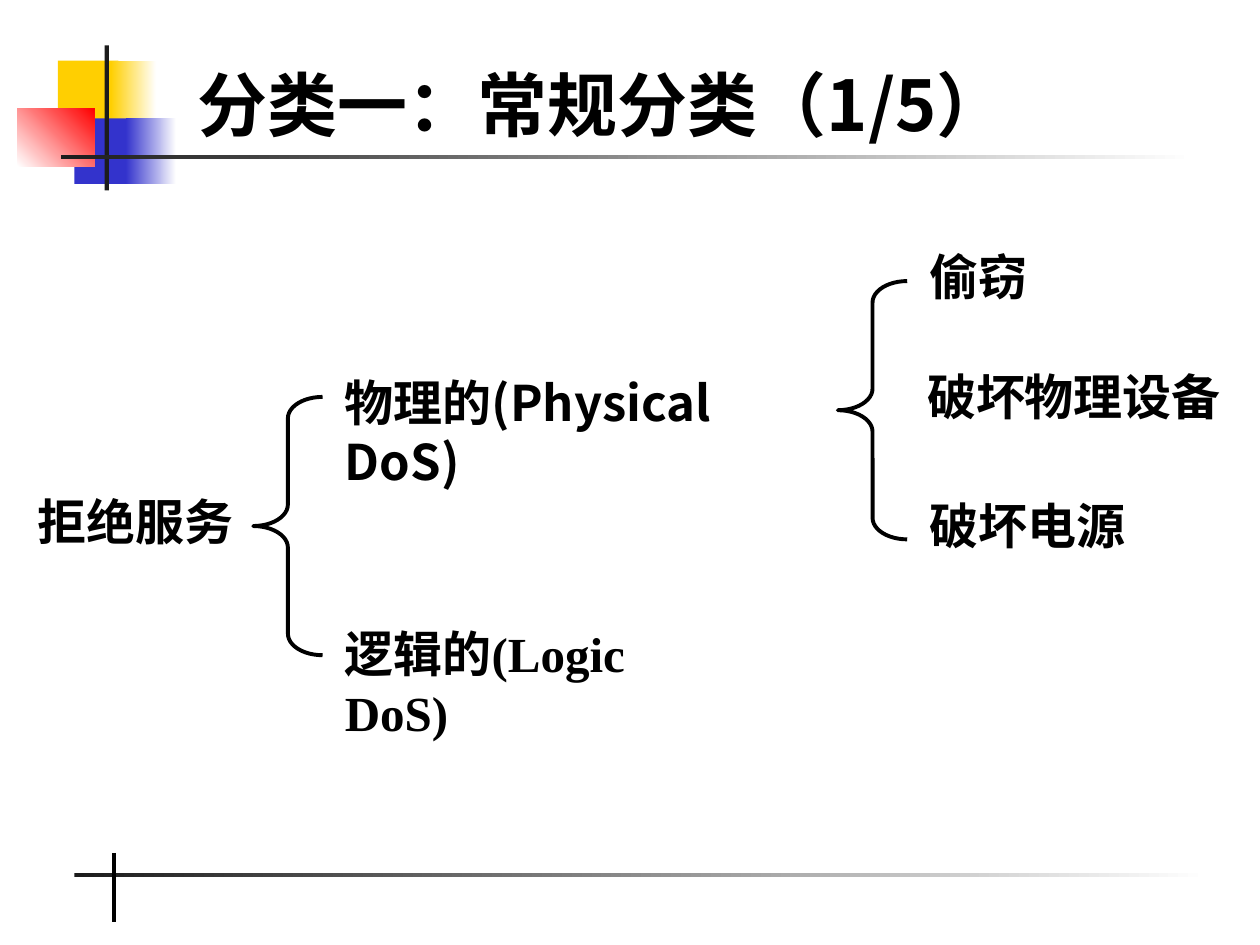
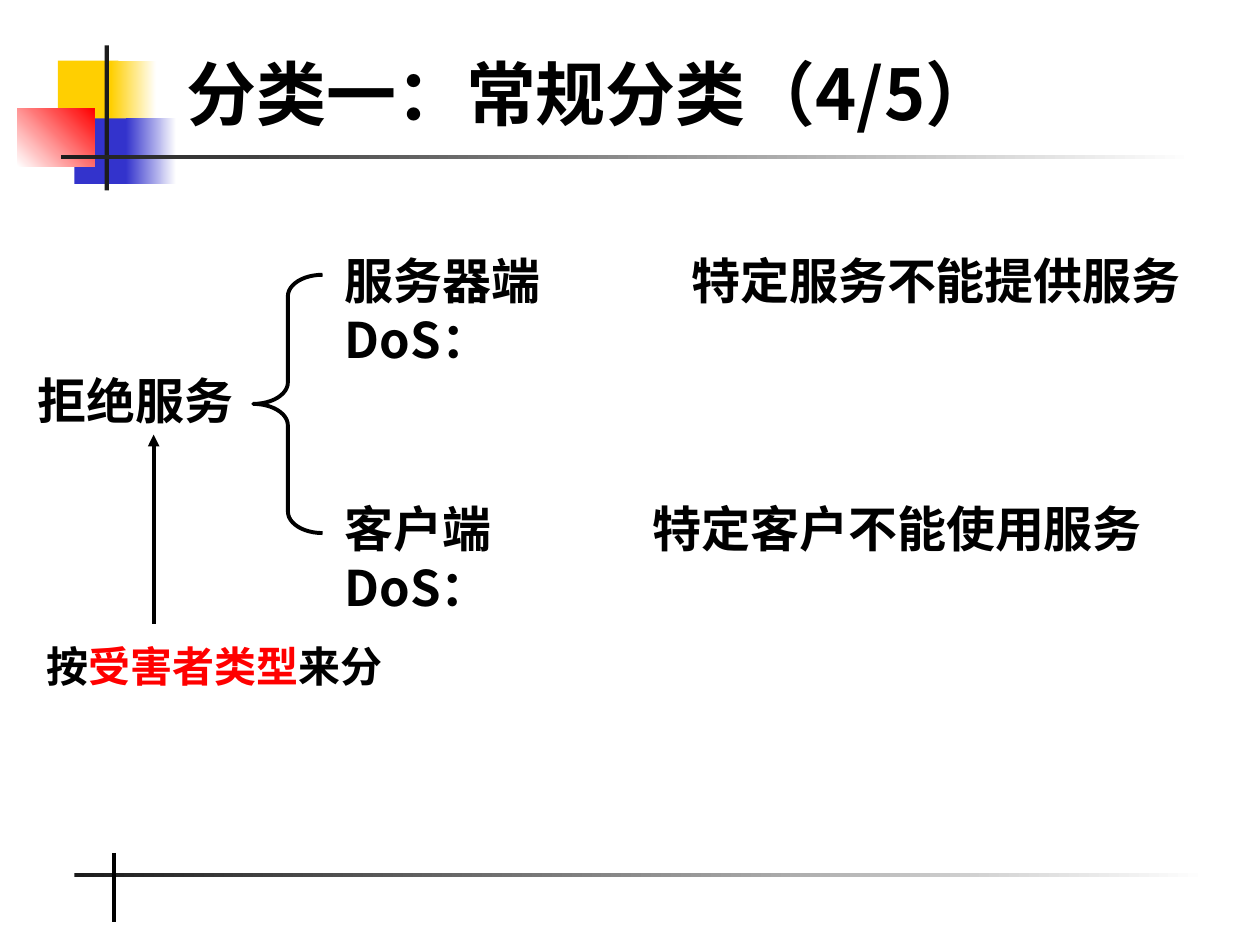
import pptx
import pptx.util
import pptx.dml.color
import pptx.enum.shapes
import pptx.enum.text
import pptx.oxml
import pptx.oxml.ns
from dataclasses import dataclass

Pt = pptx.util.Pt
SHAPES = pptx.enum.shapes.MSO_SHAPE


@dataclass(frozen=True)
class Theme:
    black: str = "000000"
    white: str = "FFFFFF"
    red: str = "FF0000"
    yellow: str = "FFCF01"
    blue: str = "3333CC"
    charcoal: str = "1C1C1C"
    sans: str = "Noto Sans CJK SC"
    serif: str = "Times New Roman"
    title_size: int = 40
    label_size: int = 28
    note_size: int = 24
    line_width: float = 2.25


theme = Theme()


def add_text(slide, left, top, width, height, runs, size):
    """Add one paragraph; each run is (text, colour, Latin font)."""
    box = slide.shapes.add_textbox(Pt(left), Pt(top), Pt(width), Pt(height))
    box.text_frame.word_wrap = True
    para = box.text_frame.paragraphs[0]
    for text, colour, latin in runs:
        span = para.add_run()
        span.text = text
        span.font.size = Pt(size)
        span.font.bold = True
        span.font.color.rgb = pptx.dml.color.RGBColor.from_string(colour)
        span.font.name = latin
        east_asian = pptx.oxml.parse_xml(
            f'<a:ea {pptx.oxml.ns.nsdecls("a")} typeface="{theme.sans}"/>')
        span.font._element.find(pptx.oxml.ns.qn("a:latin")).addnext(east_asian)
    return box


def add_line(slide, x, start, end, arrow=False):
    """Add a vertical line, optionally with an arrowhead at its end."""
    line = slide.shapes.add_connector(
        pptx.enum.shapes.MSO_CONNECTOR.STRAIGHT, Pt(x), Pt(start), Pt(x), Pt(end))
    line.line.color.rgb = pptx.dml.color.RGBColor.from_string(theme.black)
    line.line.width = Pt(theme.line_width)
    namespace = pptx.oxml.ns.nsdecls("a")
    if arrow:
        line.line._get_or_add_ln().append(
            pptx.oxml.parse_xml(f'<a:tailEnd {namespace} type="triangle"/>'))
    line._element.spPr.append(pptx.oxml.parse_xml(f"<a:effectLst {namespace}/>"))


# Shared decoration: left, top, width, height, colours (two make a gradient), angle
decoration = [
    (33.1, 34.6, 34.6, 37.4, [theme.yellow], 0),
    (63.4, 34.6, 25.9, 37.4, [theme.yellow, theme.white], 0),
    (42.5, 67.7, 33.1, 37.4, [theme.blue], 0),
    (72, 67.7, 28.8, 37.4, [theme.blue, theme.white], 0),
    (10, 61.9, 44, 33.1, [theme.white, theme.red], 45),
    (59.8, 26, 2.5, 82.8, [theme.charcoal], 0),
    (34.6, 88.5, 648, 2.5, [theme.charcoal, theme.white], 0),
    (42.5, 498.8, 648, 2.5, [theme.charcoal, theme.white], 0),
]

# Slide content: labels are left, top, width, runs as (text, Latin font)
label_height = 41
brace_width, brace_height = 39.6, 147.6
root_left, branch_left, leaf_left = 14.4, 190, 524.2
pages = [
    {
        "title": ("分类一：常规分类（1/5）", 105.8, 28),
        "braces": [(144.7, 226.8), (478.8, 160.6)],
        "labels": [
            (root_left, 277.2, 128, [("拒绝服务", theme.sans)]),
            (branch_left, 209.5, 270, [("物理的(Physical DoS)", theme.sans)]),
            (branch_left, 352.8, 215,
             [("逻辑的", theme.sans), ("(Logic DoS)", theme.serif)]),
            (leaf_left, 137.5, 72, [("偷窃", theme.sans)]),
            (522.7, 206, 185, [("破坏物理设备", theme.sans)]),
            (leaf_left, 279.4, 128, [("破坏电源", theme.sans)]),
        ],
    },
    {
        "title": ("分类一：常规分类（4/5）", 99.4, 21.6),
        "braces": [(144.7, 157)],
        "labels": [
            (root_left, 208, 128, [("拒绝服务", theme.sans)]),
            (branch_left, 139.7, 190, [("服务器端 DoS：", theme.sans)]),
            (branch_left, 281.5, 160, [("客户端 DoS：", theme.sans)]),
            (388, 139.7, 297, [("特定服务不能提供服务", theme.sans)]),
            (365.8, 281.5, 297, [("特定客户不能使用服务", theme.sans)]),
        ],
    },
]

deck = pptx.Presentation()
deck.slide_width, deck.slide_height = Pt(720), Pt(540)

for page in pages:
    slide = deck.slides.add_slide(deck.slide_layouts[6])

    # Coloured squares and rules
    for left, top, width, height, colours, angle in decoration:
        block = slide.shapes.add_shape(
            SHAPES.RECTANGLE, Pt(left), Pt(top), Pt(width), Pt(height))
        block.shadow.inherit = False
        block.line.fill.background()
        if len(colours) == 1:
            block.fill.solid()
            block.fill.fore_color.rgb = pptx.dml.color.RGBColor.from_string(colours[0])
        else:
            block.fill.gradient()
            block.fill.gradient_angle = angle
            for position, (stop, colour) in enumerate(
                    zip(block.fill.gradient_stops, colours)):
                stop.color.rgb = pptx.dml.color.RGBColor.from_string(colour)
                stop.position = position
    add_line(slide, 65, 487.4, 527)

    # Title
    title, left, top = page["title"]
    title_box = add_text(slide, left, top, 522, 62.6,
                         [(title, theme.black, theme.sans)], theme.title_size)
    title_box.text_frame.vertical_anchor = pptx.enum.text.MSO_ANCHOR.MIDDLE

    # Braces of the classification tree
    for left, top in page["braces"]:
        brace = slide.shapes.add_shape(
            SHAPES.LEFT_BRACE, Pt(left), Pt(top), Pt(brace_width), Pt(brace_height))
        brace.shadow.inherit = False
        brace.fill.background()
        brace.line.color.rgb = pptx.dml.color.RGBColor.from_string(theme.black)
        brace.line.width = Pt(theme.line_width)
        brace.adjustments[0] = 0.31
        brace.adjustments[1] = 0.5

    # Labels of the classification tree
    for left, top, width, runs in page["labels"]:
        add_text(slide, left, top, width, label_height,
                 [(text, theme.black, font) for text, font in runs], theme.label_size)

# Criterion note with its arrow, on the last slide
add_line(slide, 87.8, 356.4, 248.4, arrow=True)
add_text(slide, 19.4, 362.2, 208, 36,
         [("按", theme.black, theme.sans), ("受害者类型", theme.red, theme.sans),
          ("来分", theme.black, theme.sans)], theme.note_size)

deck.save("out.pptx")
